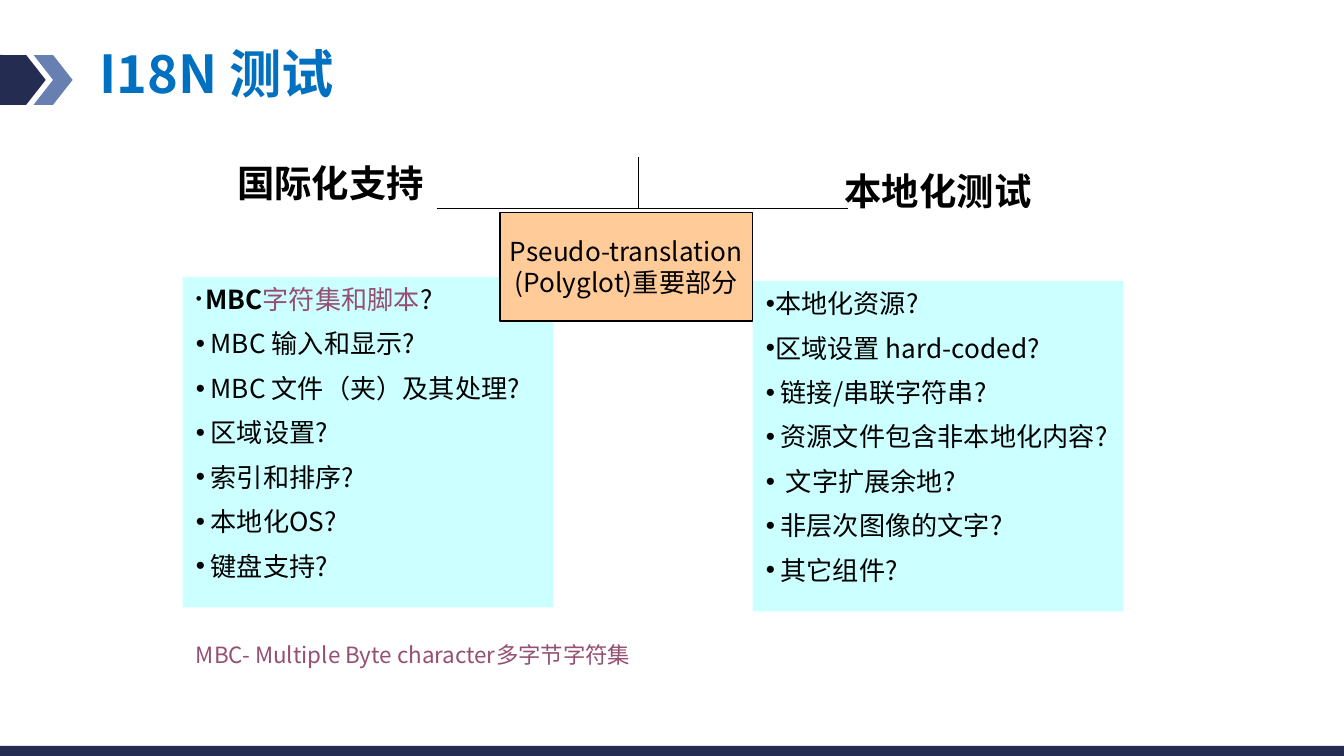
"""Build the I18N testing slide."""
from lxml import etree
from pptx import Presentation
from pptx.dml.color import RGBColor
from pptx.enum.shapes import MSO_CONNECTOR, MSO_SHAPE
from pptx.enum.text import MSO_ANCHOR, PP_ALIGN
from pptx.oxml.ns import qn
from pptx.util import Inches, Pt

NAVY = RGBColor(0x24, 0x2C, 0x52)
SLATE = RGBColor(0x68, 0x80, 0xB1)
BLUE = RGBColor(0x00, 0x70, 0xC0)
BLACK = RGBColor(0x00, 0x00, 0x00)
PLUM = RGBColor(0x95, 0x4F, 0x72)
AQUA = RGBColor(0xCC, 0xFF, 0xFF)
PEACH = RGBColor(0xFF, 0xCC, 0x99)

FONT = "Noto Sans CJK SC"
BULLET_FONT = "Arial"
RECTANGLE, ROUNDED, CHEVRON = MSO_SHAPE.RECTANGLE, MSO_SHAPE.ROUNDED_RECTANGLE, MSO_SHAPE.CHEVRON
STRAIGHT = MSO_CONNECTOR.STRAIGHT
LEFT, CENTER = PP_ALIGN.LEFT, PP_ALIGN.CENTER
TOP, MIDDLE = MSO_ANCHOR.TOP, MSO_ANCHOR.MIDDLE

SUPPORT = [
    (0.07, 65, [("MBC", {"bold": True}), ("字符集和脚本", {"color": PLUM}), ("?", {})]),
    (0.11, 100, "MBC 输入和显示?"),
    (0.11, 100, "MBC 文件（夹）及其处理?"),
    (0.11, 100, "区域设置?"),
    (0.11, 100, "索引和排序?"),
    (0.11, 100, "本地化OS?"),
    (0.11, 100, "键盘支持?"),
]
LOCALIZATION = [
    (0.07, 100, "本地化资源?"),
    (0.07, 100, "区域设置 hard-coded?"),
    (0.11, 100, "链接/串联字符串?"),
    (0.11, 100, "资源文件包含非本地化内容?"),
    (0.15, 100, "文字扩展余地?"),
    (0.11, 100, "非层次图像的文字?"),
    (0.11, 100, "其它组件?"),
]


def add_block(page, kind, place, fill, line=None):
    """Add a filled preset shape, outlined only when a line colour is given."""
    block = page.shapes.add_shape(kind, *map(Inches, place))
    block.shadow.inherit = False
    block.fill.solid()
    block.fill.fore_color.rgb = fill
    if line is None:
        block.line.fill.background()
    else:
        block.line.color.rgb = line
        block.line.width = Pt(0.75)
    return block


def add_line(page, *ends):
    """Add a thin black straight line."""
    line = page.shapes.add_connector(STRAIGHT, *map(Inches, ends))
    line.line.color.rgb = BLACK
    line.line.width = Pt(0.75)
    etree.SubElement(line._element.spPr, qn("a:effectLst"))


def add_span(para, text, size, color=BLACK, bold=False):
    """Add a run whose Latin and East Asian fonts agree."""
    span = para.add_run()
    span.text = text
    values = {"name": FONT, "size": Pt(size), "bold": bold}
    for name, value in values.items():
        setattr(span.font, name, value)
    span.font.color.rgb = color
    east_asian = etree.Element(qn("a:ea"), typeface=FONT)
    span.font._element.find(qn("a:latin")).addnext(east_asian)


def add_bullet(para, gap, percent):
    """Give a paragraph a hanging dot bullet."""
    properties = para._p.get_or_add_pPr()
    properties.set("marL", str(Inches(gap)))
    properties.set("indent", str(-Inches(gap)))
    etree.SubElement(properties, qn("a:buSzPct"), val=str(percent * 1000))
    etree.SubElement(properties, qn("a:buFont"), typeface=BULLET_FONT)
    etree.SubElement(properties, qn("a:buChar"), char="•")


def write_lines(box, lines, size, align=LEFT, anchor=TOP, wrap=True, **style):
    """Write one plain paragraph per line into a shape."""
    frame = box.text_frame
    frame.word_wrap = wrap
    frame.vertical_anchor = anchor
    for index, text in enumerate(lines):
        para = frame.add_paragraph() if index else frame.paragraphs[0]
        para.alignment = align
        add_span(para, text, size, **style)


def add_label(page, place, text, size, **style):
    """Add a one-line text box."""
    box = page.shapes.add_textbox(*map(Inches, place))
    write_lines(box, [text], size, **style)
    return box


def add_checklist(page, left, top, items):
    """Add an aqua panel of bulleted questions."""
    panel = add_block(page, RECTANGLE, (left, top, 2.76, 2.46), AQUA)
    frame = panel.text_frame
    frame.word_wrap = True
    frame.vertical_anchor = TOP
    for index, (gap, percent, content) in enumerate(items):
        para = frame.add_paragraph() if index else frame.paragraphs[0]
        add_bullet(para, gap, percent)
        para.alignment = LEFT
        if index:
            para.space_before = Pt(7)
        spans = [(content, {})] if isinstance(content, str) else content
        for text, style in spans:
            add_span(para, text, 14, **style)


def add_frame(page):
    """Add the title with its arrow mark and the footer bar."""
    tab = add_block(page, ROUNDED, (-0.15, 0.41, 0.35, 0.37), NAVY)
    tab.adjustments[0] = 0.1
    add_block(page, CHEVRON, (0.25, 0.41, 0.29, 0.37), SLATE)
    add_block(page, CHEVRON, (0.05, 0.41, 0.29, 0.37), NAVY)
    add_block(page, RECTANGLE, (0, 5.55, 10, 0.13), NAVY)
    title = add_label(page, (0.64, 0.31, 5.81, 0.57), "I18N 测试", 28,
                      color=BLUE, bold=True)
    title.text_frame.paragraphs[0].line_spacing = 0.9


def main():
    """Build and save the deck."""
    deck = Presentation()
    deck.slide_width = Inches(10)
    deck.slide_height = Inches(10) * 9 // 16
    page = deck.slides.add_slide(deck.slide_layouts[6])
    add_frame(page)
    add_line(page, 4.75, 1.17, 4.75, 1.55)
    add_line(page, 3.25, 1.55, 6.31, 1.55)
    heading = {"align": CENTER, "bold": True}
    add_label(page, (1.66, 1.14, 1.6, 0.44), "国际化支持", 20, wrap=False, **heading)
    add_label(page, (6.04, 1.2, 1.88, 0.44), "本地化测试", 20, **heading)
    add_checklist(page, 1.36, 2.06, SUPPORT)
    add_checklist(page, 5.6, 2.09, LOCALIZATION)
    core = add_block(page, RECTANGLE, (3.72, 1.58, 1.88, 0.81), PEACH, BLACK)
    write_lines(core, ["Pseudo-translation", "(Polyglot)重要部分"], 14,
                align=CENTER, anchor=MIDDLE, wrap=False)
    add_label(page, (1.36, 4.72, 3.57, 0.3),
              "MBC- Multiple Byte character多字节字符集", 12, color=PLUM)
    deck.save("out.pptx")


if __name__ == "__main__":
    main()
